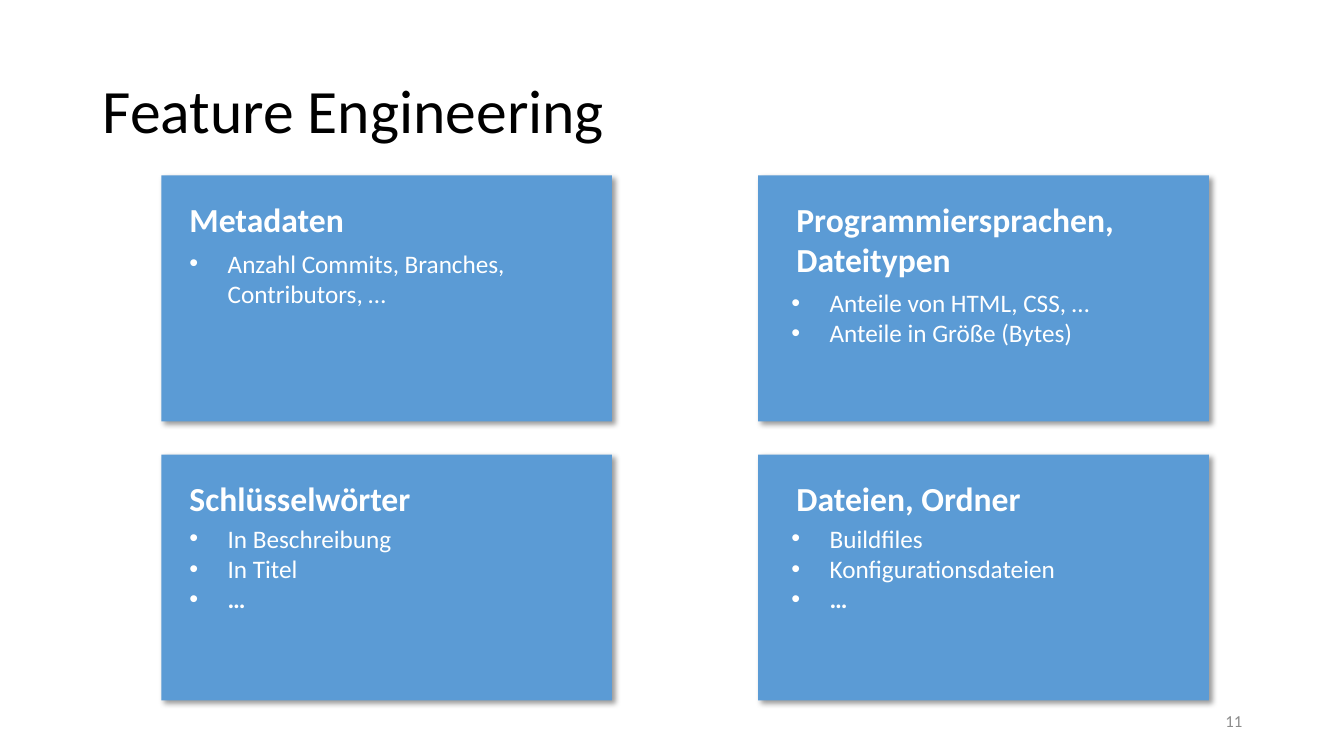
from lxml import etree
from pptx import Presentation
from pptx.dml.color import RGBColor
from pptx.enum.shapes import MSO_SHAPE
from pptx.enum.text import MSO_ANCHOR, PP_ALIGN
from pptx.oxml.ns import qn
from pptx.util import Inches, Pt

RECTANGLE = MSO_SHAPE.RECTANGLE
TOP, MIDDLE = MSO_ANCHOR.TOP, MSO_ANCHOR.MIDDLE
LEFT, RIGHT = PP_ALIGN.LEFT, PP_ALIGN.RIGHT

COLORS = {"title": "000000", "card": "5B9BD5", "card_text": "FFFFFF",
          "number": "8C8C8C", "shadow": "000000"}
FONT = "Calibri"
GRID_LEFT, GRID_TOP = 1.6, 1.74
COLUMN_STEP, ROW_STEP = 5.92, 2.77
CARD_WIDTH, CARD_HEIGHT = 4.47, 2.44
HEADING_INDENT = (0.18, 0.28)
LIST_INDENT = (0.18, 0.23)
HEADING_WIDTH, LIST_WIDTH = 3.95, 4.05
HEADING_OFFSET, HEADING_LINE = 0.23, 0.4
BULLET_INDENT = 0.38

TOPICS = [
    {"column": 0, "row": 0, "heading": ["Metadaten"], "list_offset": 0.67,
     "points": ["Anzahl Commits, Branches, Contributors, …"]},
    {"column": 1, "row": 0, "heading": ["Programmiersprachen,", "Dateitypen"],
     "list_offset": 1.06,
     "points": ["Anteile von HTML, CSS, …", "Anteile in Größe (Bytes)"]},
    {"column": 0, "row": 1, "heading": ["Schlüsselwörter"], "list_offset": 0.63,
     "points": ["In Beschreibung", "In Titel", "…"]},
    {"column": 1, "row": 1, "heading": ["Dateien, Ordner"], "list_offset": 0.63,
     "points": ["Buildfiles", "Konfigurationsdateien", "…"]},
]


def card_origin(topic):
    """Return the left and top of a topic's cell in the grid."""
    return (GRID_LEFT + topic["column"] * COLUMN_STEP,
            GRID_TOP + topic["row"] * ROW_STEP)


def add_shadow(card):
    """Give a card a soft shadow towards the lower right."""
    card.shadow.inherit = False
    effects = card.element.spPr.find(qn("a:effectLst"))
    shadow = etree.SubElement(effects, qn("a:outerShdw"), blurRad=str(Pt(4)),
                              dist=str(Pt(3)), dir=str(45 * 60000),
                              algn="tl", rotWithShape="0")
    color = etree.SubElement(shadow, qn("a:srgbClr"), val=COLORS["shadow"])
    etree.SubElement(color, qn("a:alpha"), val="40000")


def add_card(slide, topic):
    """Draw the filled rectangle behind a topic."""
    left, top = card_origin(topic)
    card = slide.shapes.add_shape(RECTANGLE, Inches(left), Inches(top),
                                  Inches(CARD_WIDTH), Inches(CARD_HEIGHT))
    card.fill.solid()
    card.fill.fore_color.rgb = RGBColor.from_string(COLORS["card"])
    card.line.fill.background()
    add_shadow(card)


def add_bullet(paragraph):
    """Turn a paragraph into a bullet with a hanging indent."""
    properties = paragraph._p.get_or_add_pPr()
    properties.set("marL", str(Inches(BULLET_INDENT)))
    properties.set("indent", str(-Inches(BULLET_INDENT)))
    etree.SubElement(properties, qn("a:buFont"), typeface="Arial")
    etree.SubElement(properties, qn("a:buChar"), char="•")


def add_text(slide, bounds, lines, size, color, bold=False, bulleted=False,
             anchor=MIDDLE, align=LEFT, spacing=1.0, inset=0.05):
    """Place a wrapped text box with one paragraph per line."""
    box = slide.shapes.add_textbox(*(Inches(length) for length in bounds))
    frame = box.text_frame
    frame.word_wrap = True
    frame.vertical_anchor = anchor
    frame.margin_top = frame.margin_bottom = Inches(inset)
    for index, line in enumerate(lines):
        paragraph = frame.add_paragraph() if index else frame.paragraphs[0]
        paragraph.alignment = align
        paragraph.line_spacing = spacing
        if bulleted:
            add_bullet(paragraph)
        run = paragraph.add_run()
        run.text = line
        run.font.name = FONT
        run.font.size = Pt(size)
        run.font.bold = bold or (bulleted and line == "…")
        run.font.color.rgb = RGBColor.from_string(COLORS[color])


def add_topic_text(slide, topic):
    """Write a topic's heading and bullet list over its card."""
    left, top = card_origin(topic)
    column = topic["column"]
    heading = topic["heading"]
    add_text(slide, (left + HEADING_INDENT[column], top + HEADING_OFFSET,
                     HEADING_WIDTH, HEADING_LINE * len(heading)),
             heading, 24, "card_text", bold=True, inset=0)
    offset = topic["list_offset"]
    add_text(slide, (left + LIST_INDENT[column], top + offset,
                     LIST_WIDTH, CARD_HEIGHT - offset - 0.13),
             topic["points"], 18, "card_text", bulleted=True, anchor=TOP)


def main():
    """Build the slide and save it."""
    presentation = Presentation()
    presentation.slide_width = Inches(13.33)
    presentation.slide_height = Inches(7.5)
    slide = presentation.slides.add_slide(presentation.slide_layouts[6])
    add_text(slide, (0.92, 0.4, 11.5, 1.45), ["Feature Engineering"], 44,
             "title", spacing=0.9)
    for topic in TOPICS:
        add_card(slide, topic)
    for topic in TOPICS:
        add_topic_text(slide, topic)
    add_text(slide, (9.42, 6.95, 3, 0.4), ["11"], 12, "number", align=RIGHT)
    presentation.save("out.pptx")


if __name__ == "__main__":
    main()
